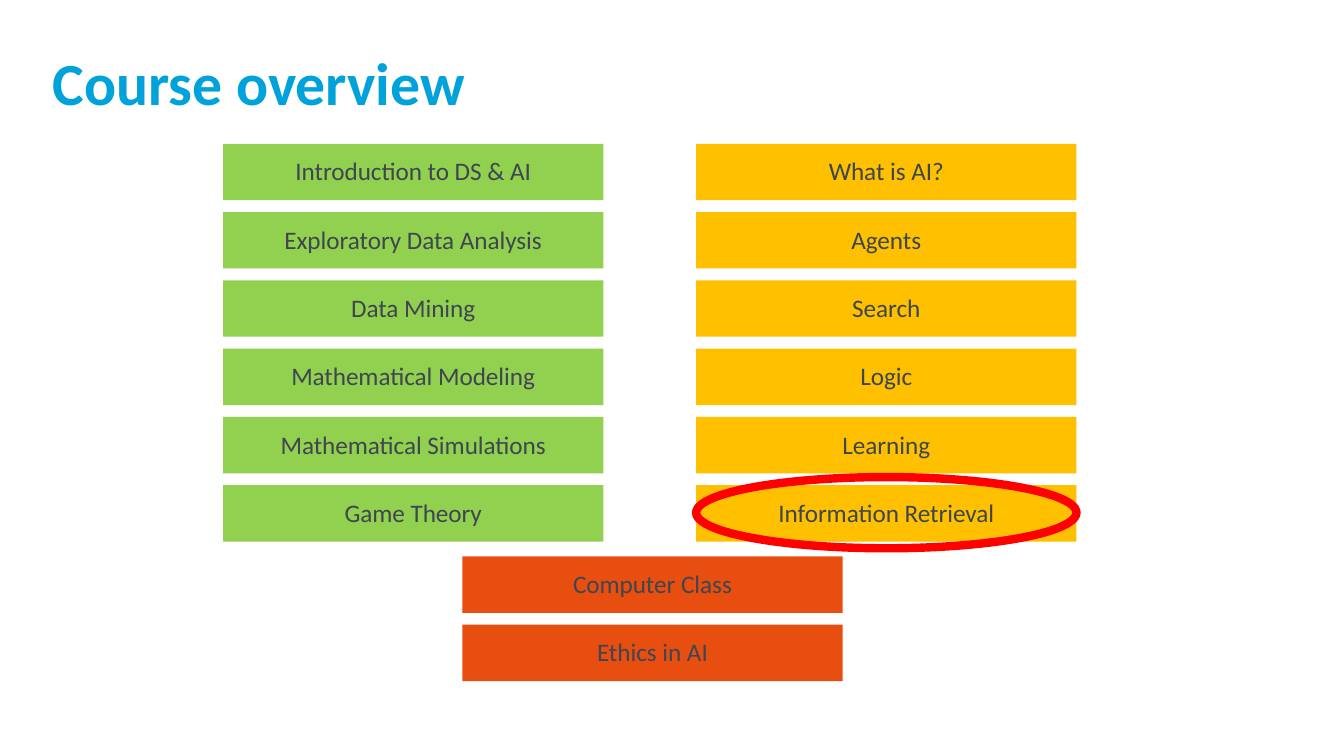
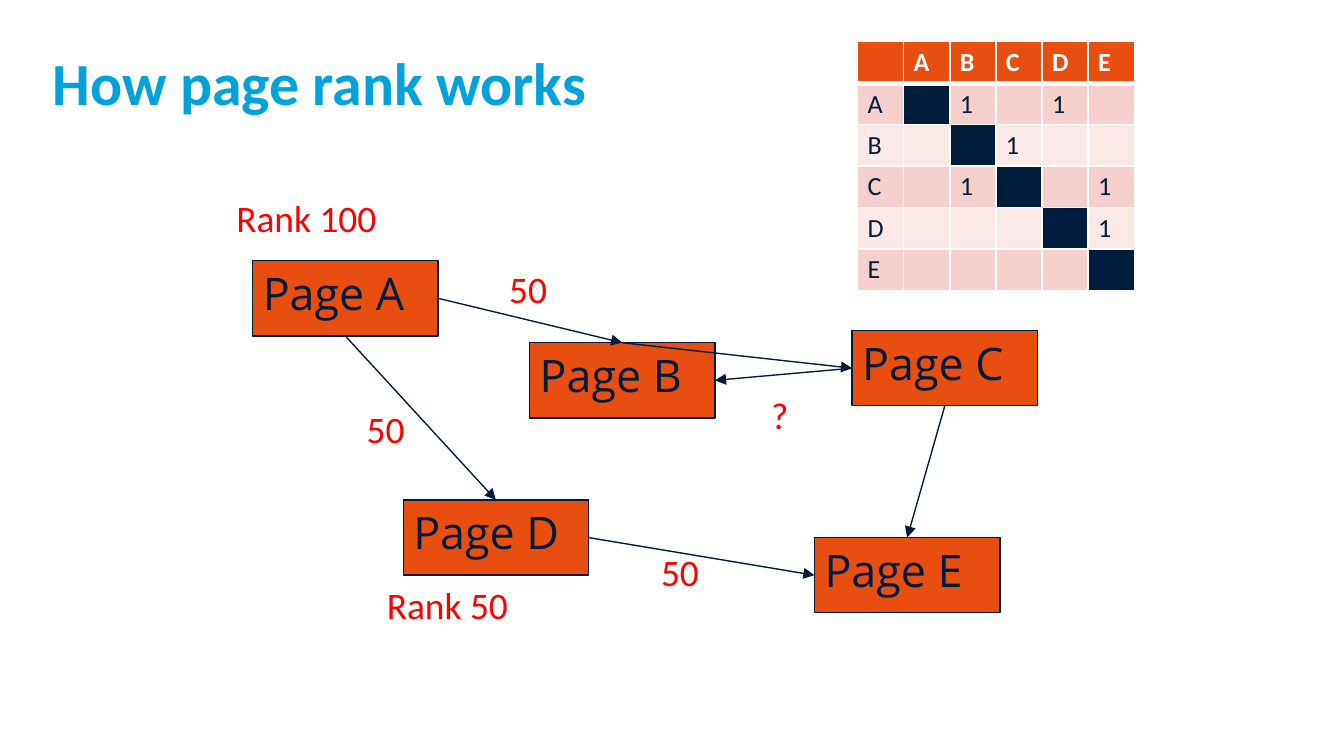
from dataclasses import dataclass

from lxml import etree
from pptx import Presentation
from pptx import util as u
from pptx.dml.color import RGBColor
from pptx.enum import shapes, text
from pptx.oxml.ns import qn


@dataclass(frozen=True)
class Theme:
    title: str = "00A2DB"
    body: str = "3D4651"
    navy: str = "001C3D"
    orange: str = "E84E10"
    green: str = "92D050"
    yellow: str = "FFC000"
    red: str = "FF0000"
    white: str = "FFFFFF"
    bands: tuple = ("F6D0CC", "FBE9E7")
    font: str = "Calibri"
    page_font: str = "Open Sans"
    title_size: float = 32
    page_size: float = 24
    rank_size: float = 20
    cell_size: float = 14
    topic_size: float = 13.5


THEME = Theme()
SLIDE_W = 10
SLIDE_H = SLIDE_W * 9 / 16
NORMAL = (u.Pt(7.2), u.Pt(3.6))
TIGHT = (u.Pt(5.4), u.Pt(2.7))

# Course topics
DATA_SCIENCE = ["Introduction to DS & AI", "Exploratory Data Analysis", "Data Mining",
                "Mathematical Modeling", "Mathematical Simulations", "Game Theory"]
AI = ["What is AI?", "Agents", "Search", "Logic", "Learning", "Information Retrieval"]
SHARED = ["Computer Class", "Ethics in AI"]
TOPIC_W, TOPIC_H = 2.83, 0.42
LABEL_H, LABEL_DROP = 0.33, 0.04
TOPIC_TOP, LAST_TOPIC_TOP = 1.07, 3.61
TOPIC_PITCH = (LAST_TOPIC_TOP - TOPIC_TOP) / (len(AI) - 1)
AI_LEFT = 5.18

# Page graph: positions, links with their sides, and rank labels
PAGE_W, PAGE_H = 1.38, 0.56
PAGES = {"A": (1.88, 1.94), "B": (3.94, 2.55), "D": (3, 3.72), "C": (6.34, 2.46), "E": (6.06, 4)}
TOP, LEFT, BOTTOM, RIGHT = range(4)
LINKS = [("A", BOTTOM, "D", TOP), ("A", RIGHT, "B", TOP), ("C", LEFT, "B", RIGHT),
         ("B", TOP, "C", LEFT), ("C", BOTTOM, "E", TOP), ("D", RIGHT, "E", LEFT)]
RANKS = [("Rank 100", 1.66, 1.4, 1.81), ("50", 3.69, 1.93, 0.75), ("50", 2.63, 2.97, 0.75),
         ("Rank 50", 2.78, 4.28, 1.81), ("50", 4.82, 4.04, 0.75), ("?", 5.64, 2.87, 0.33)]
MATRIX_PAGES = "ABCDE"
MATRIX_LINKS = {"AB", "AD", "BC", "CB", "CE", "DE"}


def rgb(color):
    return RGBColor.from_string(color)


def box(left, top, width, height):
    return [u.Inches(v) for v in (left, top, width, height)]


def style(paragraph, size, color, font=THEME.font, bold=False, align=text.PP_ALIGN.LEFT):
    paragraph.alignment = align
    paragraph.font.size = u.Pt(size)
    paragraph.font.name = font
    paragraph.font.bold = bold
    paragraph.font.color.rgb = rgb(color)


def set_insets(holder, across, down):
    holder.margin_left = holder.margin_right = across
    holder.margin_top = holder.margin_bottom = down


def add_text(slide, words, place, size, color, insets=NORMAL, bold=False,
             align=text.PP_ALIGN.LEFT):
    frame = slide.shapes.add_textbox(*box(*place)).text_frame
    frame.word_wrap = True
    frame.vertical_anchor = text.MSO_ANCHOR.TOP
    set_insets(frame, *insets)
    frame.text = words
    style(frame.paragraphs[0], size, color, bold=bold, align=align)


def add_outline(slide, kind, place, fill=None, line=None, width=0.75):
    outline = slide.shapes.add_shape(kind, *box(*place))
    outline.shadow.inherit = False
    if fill:
        outline.fill.solid()
        outline.fill.fore_color.rgb = rgb(fill)
    else:
        outline.fill.background()
    if line:
        outline.line.color.rgb = rgb(line)
        outline.line.width = u.Pt(width)
    else:
        outline.line.fill.background()
    return outline


def add_topics(slide, topics, left, first_top, fill):
    for row, topic in enumerate(topics):
        top = first_top + row * TOPIC_PITCH
        add_outline(slide, shapes.MSO_SHAPE.RECTANGLE, (left, top, TOPIC_W, TOPIC_H), fill)
        add_text(slide, topic, (left, top + LABEL_DROP, TOPIC_W, LABEL_H),
                 THEME.topic_size, THEME.body, align=text.PP_ALIGN.CENTER)


def add_page(slide, name, left, top):
    page = add_outline(slide, shapes.MSO_SHAPE.RECTANGLE, (left, top, PAGE_W, PAGE_H),
                       THEME.orange, THEME.navy)
    frame = page.text_frame
    set_insets(frame, *TIGHT)
    frame.vertical_anchor = text.MSO_ANCHOR.TOP
    frame.text = f"Page {name}"
    style(frame.paragraphs[0], THEME.page_size, THEME.navy, THEME.page_font)
    return page


def add_link(slide, source, source_side, target, target_side):
    link = slide.shapes.add_connector(shapes.MSO_CONNECTOR.STRAIGHT, 0, 0, 0, 0)
    link.begin_connect(source, source_side)
    link.end_connect(target, target_side)
    link.line.color.rgb = rgb(THEME.navy)
    link.line.width = u.Pt(0.75)
    etree.SubElement(link.line._get_or_add_ln(), qn("a:tailEnd"), type="triangle")
    etree.SubElement(link._element.spPr, qn("a:effectLst"))


def add_cell_borders(cell, widths):
    properties = cell._tc.get_or_add_tcPr()
    for side, width in widths.items():
        border = etree.SubElement(properties, qn(f"a:ln{side}"), w=str(u.Pt(width)))
        paint = etree.SubElement(border, qn("a:solidFill"))
        etree.SubElement(paint, qn("a:srgbClr"), val=THEME.white)


def fill_cell(cell, words, fill, color, bold, borders):
    set_insets(cell, *TIGHT)
    add_cell_borders(cell, borders)
    cell.fill.solid()
    cell.fill.fore_color.rgb = rgb(fill)
    cell.text = words
    paragraph = cell.text_frame.paragraphs[0]
    style(paragraph, THEME.cell_size, color, bold=bold)
    if not words:  # keeps an empty row from growing
        etree.SubElement(paragraph._p, qn("a:endParaRPr"), sz=str(THEME.cell_size * 100))


def add_link_matrix(slide, place):
    names = " " + MATRIX_PAGES
    count = len(names)
    matrix = slide.shapes.add_table(count, count, *box(*place)).table
    for r, source in enumerate(names):
        for c, target in enumerate(names):
            header = r == 0
            if header or c == 0:
                words = (target if header else source).strip()
            else:
                words = "1" if source + target in MATRIX_LINKS else ""
            if header:
                fill = THEME.orange
            else:
                fill = THEME.navy if r == c else THEME.bands[(r - 1) % 2]
            borders = {"L": 1, "R": 1, "T": 3 if r == 1 else 1, "B": 3 if header else 1}
            fill_cell(matrix.cell(r, c), words, fill,
                      THEME.white if header else THEME.navy, header, borders)


def add_titled_slide(deck, title):
    slide = deck.slides.add_slide(deck.slide_layouts[6])
    add_text(slide, title, (0.39, 0.34, 9.11, 0.62), THEME.title_size, THEME.title,
             insets=(0, 0), bold=True)
    return slide


def build_overview(deck):
    slide = add_titled_slide(deck, "Course overview")
    add_topics(slide, DATA_SCIENCE, 1.66, TOPIC_TOP, THEME.green)
    add_topics(slide, AI, AI_LEFT, TOPIC_TOP, THEME.yellow)
    add_topics(slide, SHARED, 3.44, 4.14, THEME.orange)
    # Ring around the current topic
    add_outline(slide, shapes.MSO_SHAPE.OVAL, (AI_LEFT, 3.55, TOPIC_W, 0.53),
                line=THEME.red, width=4.5)


def build_page_rank(deck):
    slide = add_titled_slide(deck, "How page rank works")
    pages = {name: add_page(slide, name, *spot) for name, spot in PAGES.items()}
    for source, source_side, target, target_side in LINKS:
        add_link(slide, pages[source], source_side, pages[target], target_side)
    for words, left, top, width in RANKS:
        add_text(slide, words, (left, top, width, 0.44), THEME.rank_size, THEME.red)
    add_link_matrix(slide, (6.38, 0.31, 2.06, 1.85))


def main():
    deck = Presentation()
    deck.slide_width, deck.slide_height = u.Inches(SLIDE_W), u.Inches(SLIDE_H)
    build_overview(deck)
    build_page_rank(deck)
    deck.save("out.pptx")


main()
